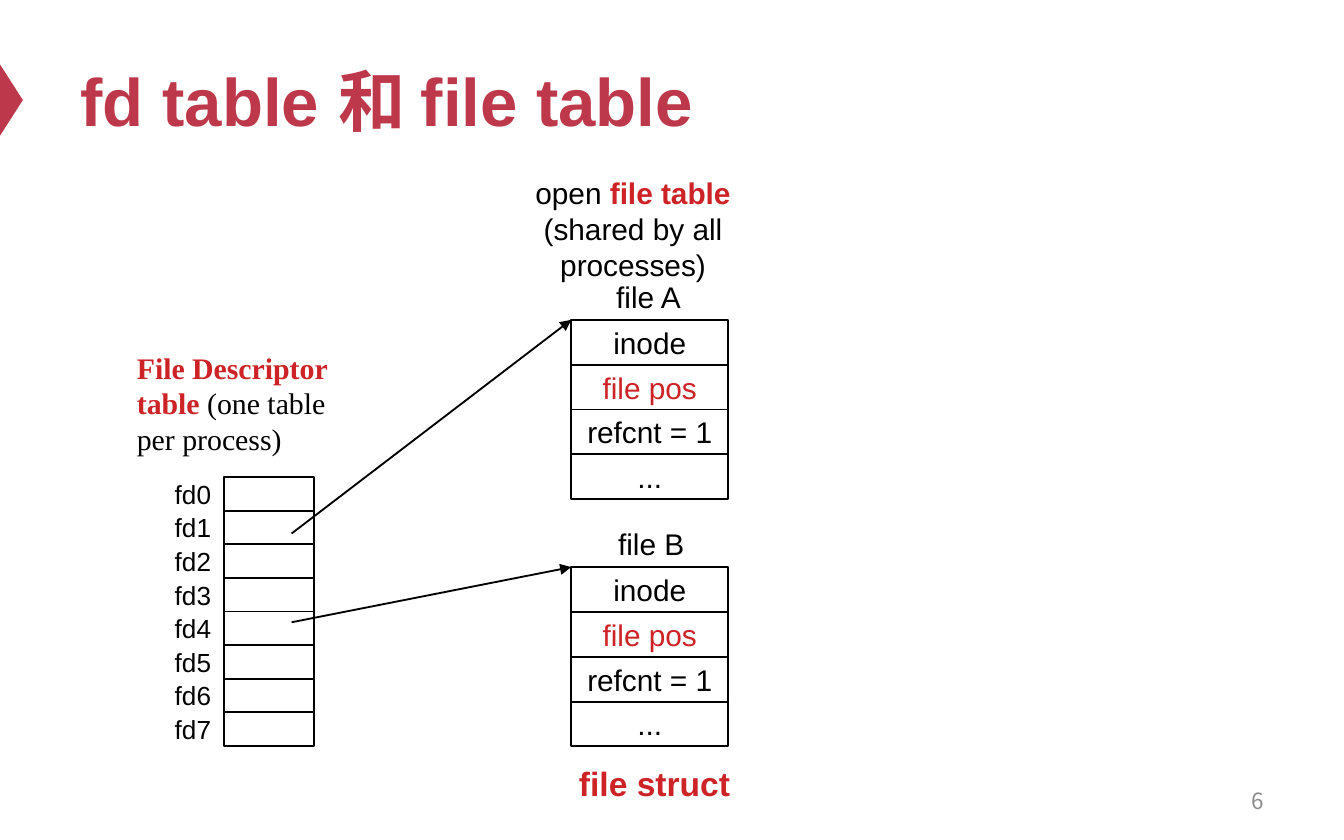
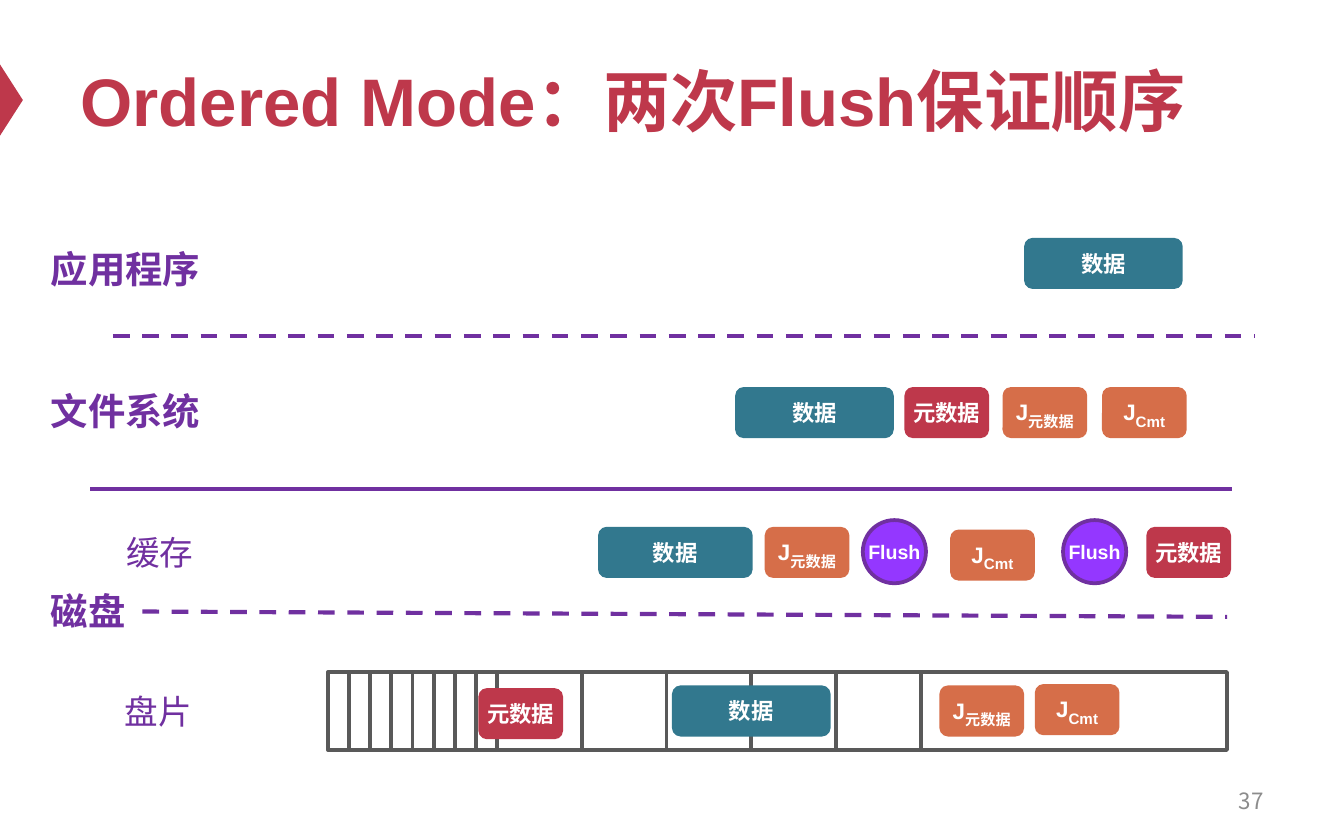
"""Build two slides on file tables and journal order."""

from dataclasses import dataclass, replace
from itertools import accumulate

from lxml import etree
from pptx import Presentation, util as u
from pptx.dml.color import RGBColor
from pptx.enum import dml, shapes, text
from pptx.oxml import ns

Rect = tuple[float, float, float, float]
Point = tuple[float, float]
KIND = shapes.MSO_SHAPE
ALIGN = text.PP_ALIGN
ANCHOR = text.MSO_ANCHOR


@dataclass(frozen=True)
class Theme:
    """Hold the colours, fonts and type sizes."""
    brand: str = "BE384B"
    mark: str = "CD2327"
    ink: str = "000000"
    paper: str = "FFFFFF"
    teal: str = "32788E"
    clay: str = "D66E49"
    plum: str = "7030A0"
    neon: str = "9437FF"
    slate: str = "595959"
    mute: str = "8C8C8C"
    sans: str = "Arial"
    serif: str = "Times New Roman"
    asian: str = "Noto Sans CJK SC"
    head: float = 36
    layer: float = 20
    sub: float = 18
    body: float = 16
    label: float = 14
    small: float = 12
    tiny: float = 10.5


T = Theme()


@dataclass(frozen=True)
class Run:
    """Describe one run of text."""
    words: str
    size: float = T.body
    color: str = T.ink
    bold: bool = False
    font: str = T.sans
    low: bool = False


@dataclass(frozen=True)
class Box:
    """Describe a shape, or a text box when it has no kind."""
    at: Rect
    paras: tuple[tuple[Run, ...], ...] = ()
    kind: int | None = None
    fill: str | None = None
    line: str | None = None
    width: float = 1
    align: int = ALIGN.LEFT
    anchor: int = ANCHOR.TOP
    wrap: bool = True
    pad: Point = (0.1, 0.05)


@dataclass(frozen=True)
class Line:
    """Describe a straight line."""
    start: Point
    end: Point
    color: str = T.plum
    width: float = 2.25
    dash: bool = False
    arrow: bool = False


@dataclass(frozen=True)
class Chip:
    """Describe a kind of block on its way to disk."""
    runs: tuple[Run, ...]
    fill: str
    width: float = 0.63


def inch(size: float) -> u.Length:
    """Turn inches into a length."""
    return u.Cm(size * 2.54)


def rgb(code: str) -> RGBColor:
    """Turn a hex code into a colour."""
    return RGBColor.from_string(code)


def place(shape, at: Rect) -> None:
    """Move and size a shape."""
    shape.left, shape.top, shape.width, shape.height = map(inch, at)


def add_run(para, run: Run) -> None:
    """Add one run to a paragraph."""
    item = para.add_run()
    item.text = run.words
    font = item.font
    font.size, font.bold = u.Pt(run.size), run.bold
    font.color.rgb = rgb(run.color)
    font.name = run.font
    props = item._r.get_or_add_rPr()
    etree.SubElement(props, ns.qn("a:ea"), typeface=T.asian)
    if run.low:
        props.set("baseline", "-25000")


def write(frame, box: Box) -> None:
    """Fill a text frame run by run."""
    frame.auto_size = text.MSO_AUTO_SIZE.NONE
    frame.word_wrap = box.wrap
    frame.vertical_anchor = box.anchor
    frame.margin_left = frame.margin_right = inch(box.pad[0])
    frame.margin_top = frame.margin_bottom = inch(box.pad[1])
    for i, runs in enumerate(box.paras):
        para = frame.add_paragraph() if i else frame.paragraphs[0]
        para.alignment = box.align
        for run in runs:
            add_run(para, run)


def draw(slide, box: Box):
    """Draw a box on a slide."""
    spot = map(inch, box.at)
    if box.kind is None:
        shape = slide.shapes.add_textbox(*spot)
    else:
        shape = slide.shapes.add_shape(box.kind, *spot)
        shape.shadow.inherit = False
        if box.fill:
            shape.fill.solid()
            shape.fill.fore_color.rgb = rgb(box.fill)
        else:
            shape.fill.background()
        if box.line:
            shape.line.color.rgb = rgb(box.line)
            shape.line.width = u.Pt(box.width)
        else:
            shape.line.fill.background()
    write(shape.text_frame, box)
    return shape


def link(slide, line: Line) -> None:
    """Draw a line or an arrow."""
    ends = map(inch, line.start + line.end)
    wire = slide.shapes.add_connector(shapes.MSO_CONNECTOR.STRAIGHT, *ends)
    wire.line.color.rgb = rgb(line.color)
    wire.line.width = u.Pt(line.width)
    if line.dash:
        wire.line.dash_style = dml.MSO_LINE.DASH
    if line.arrow:
        etree.SubElement(wire.line._ln, ns.qn("a:tailEnd"), type="triangle")
    etree.SubElement(wire._element.spPr, ns.qn("a:effectLst"))


def brand(deck, slide) -> None:
    """Put the side mark on the shared layout."""
    mark = draw(slide, Box((-0.18, 0.66, 0.53, 0.17), kind=KIND.ISOSCELES_TRIANGLE, fill=T.brand))
    mark.rotation = 90
    deck.slide_layouts[5].shapes.element.append(mark._element)


def start(deck, title: str, page: int):
    """Add a slide with its title and page number."""
    slide = deck.slides.add_slide(deck.slide_layouts[5])
    area = (0.5, 0.25, 9, 0.98)
    place(slide.shapes.title, area)
    head = Run(title, T.head, T.brand, True)
    write(slide.shapes.title.text_frame, Box(area, ((head,),), anchor=ANCHOR.MIDDLE))
    foot = Run(str(page), T.small, T.mute, font=T.asian)
    draw(slide, Box((7.17, 5.79, 2.33, 0.33), ((foot,),), align=ALIGN.RIGHT, anchor=ANCHOR.MIDDLE))
    return slide


def add_fds(slide) -> None:
    """Draw the descriptor table and its labels."""
    for i in range(8):
        top = 3.55 + 0.25 * i
        draw(slide, Box((1.67, top, 0.67, 0.25), kind=KIND.RECTANGLE, line=T.ink))
        draw(slide, Box((1, top, 0.67, 0.25), ((Run(f"fd{i}", T.label),),),
                        align=ALIGN.RIGHT, anchor=ANCHOR.MIDDLE, pad=(0.1, 0)))


def add_file(slide, name: str, left: float, top: float, start: Point) -> None:
    """Draw a file struct, its name and the arrow to it."""
    base = Box((left, top - 0.36, 0.75, 0.37), ((Run(name),),),
               align=ALIGN.CENTER, anchor=ANCHOR.MIDDLE, wrap=False)
    draw(slide, base)
    for i, words in enumerate(("inode", "file pos", "refcnt = 1", "...")):
        run = Run(words, color=T.mark if words == "file pos" else T.ink)
        draw(slide, replace(base, at=(4.25, top + i / 3, 1.17, 1 / 3), paras=((run,),),
                            kind=KIND.RECTANGLE, line=T.ink))
    link(slide, Line(start, (4.25, top), T.ink, 1, arrow=True))


def tables(slide) -> None:
    """Fill the slide on the two tables."""
    add_fds(slide)
    add_file(slide, "file A", 4.45, 2.38, (2.17, 3.97))
    add_file(slide, "file B", 4.47, 4.22, (2.17, 4.63))
    shared = ((Run("open "), Run("file table", color=T.mark, bold=True)),
              (Run("(shared by all processes)"),))
    draw(slide, Box((3.5, 1.25, 2.42, 0.9), shared, align=ALIGN.CENTER, anchor=ANCHOR.MIDDLE))
    own = (Run("File Descriptor table", color=T.mark, bold=True, font=T.serif),
           Run(" (one table per process)", font=T.serif))
    draw(slide, Box((0.92, 2.55, 1.75, 0.9), (own,)))
    struct = Run("file struct", T.sub, T.mark, True)
    draw(slide, Box((4.21, 5.63, 1.34, 0.4), ((struct,),), wrap=False))


def white(words: str, size: float = T.small, low: bool = False) -> Run:
    """Make a bold white run."""
    return Run(words, size, T.paper, True, low=low)


DATA = Chip((white("数据"),), T.teal, 1.18)
META = Chip((white("元数据"),), T.brand)
J_META = Chip((white("J"), white("元数据", T.label, True)), T.clay)
J_CMT = Chip((white("J"), white("Cmt", T.label, True)), T.clay)
CHIPS = (
    (DATA, 7.62, 1.77),
    (DATA, 5.47, 2.88), (META, 6.73, 2.88), (J_META, 7.46, 2.88), (J_CMT, 8.2, 2.88),
    (replace(DATA, width=1.15), 4.45, 3.92), (J_META, 5.69, 3.92),
    (J_CMT, 7.07, 3.94), (META, 8.53, 3.92),
    (META, 3.56, 5.12), (DATA, 5, 5.1), (J_META, 6.99, 5.1), (J_CMT, 7.7, 5.09),
)
LAYERS = (("应用程序", 1.78, 1.73), ("文件系统", 2.84, 1.73), ("磁盘", 4.33, 0.79))
PARTS = (("缓存", 0.84, 3.91), ("盘片", 0.83, 5.09))
RULES = (
    Line((0.84, 2.5), (9.34, 2.5), dash=True),
    Line((0.67, 3.64), (9.17, 3.64)),
    Line((1.06, 4.55), (9.13, 4.59), dash=True),
)


def journal(slide) -> None:
    """Fill the slide on the journal order."""
    for rule in RULES:
        link(slide, rule)
    for words, top, width in LAYERS:
        draw(slide, Box((0.28, top, width, 0.44), ((Run(words, T.layer, T.plum, True),),)))
    for words, left, top in PARTS:
        draw(slide, Box((left, top, 1.1, 0.4), ((Run(words, T.sub, T.plum),),)))
    widths = [0.63 / 4] * 8 + [0.63] * 5 + [2.28]
    for left, width in zip(accumulate(widths, initial=2.44), widths):
        draw(slide, Box((left, 5, width, 0.58), kind=KIND.RECTANGLE, line=T.slate, width=2))
    base = Box((0, 0, 0, 0), align=ALIGN.CENTER, anchor=ANCHOR.MIDDLE, wrap=False, pad=(0, 0))
    for chip, left, top in CHIPS:
        draw(slide, replace(base, at=(left, top, chip.width, 0.38), paras=(chip.runs,),
                            kind=KIND.ROUNDED_RECTANGLE, fill=chip.fill))
    for left in (6.42, 7.91):
        draw(slide, replace(base, at=(left, 3.87, 0.47, 0.47), paras=((white("Flush", T.tiny),),),
                            kind=KIND.OVAL, fill=T.neon, line=T.plum, width=2))


def main() -> None:
    """Build and save the deck."""
    deck = Presentation()
    deck.slide_width, deck.slide_height = inch(10), inch(6.25)
    first = start(deck, "fd table 和 file table", 6)
    brand(deck, first)
    tables(first)
    journal(start(deck, "Ordered Mode：两次Flush保证顺序", 37))
    deck.save("out.pptx")


if __name__ == "__main__":
    main()
